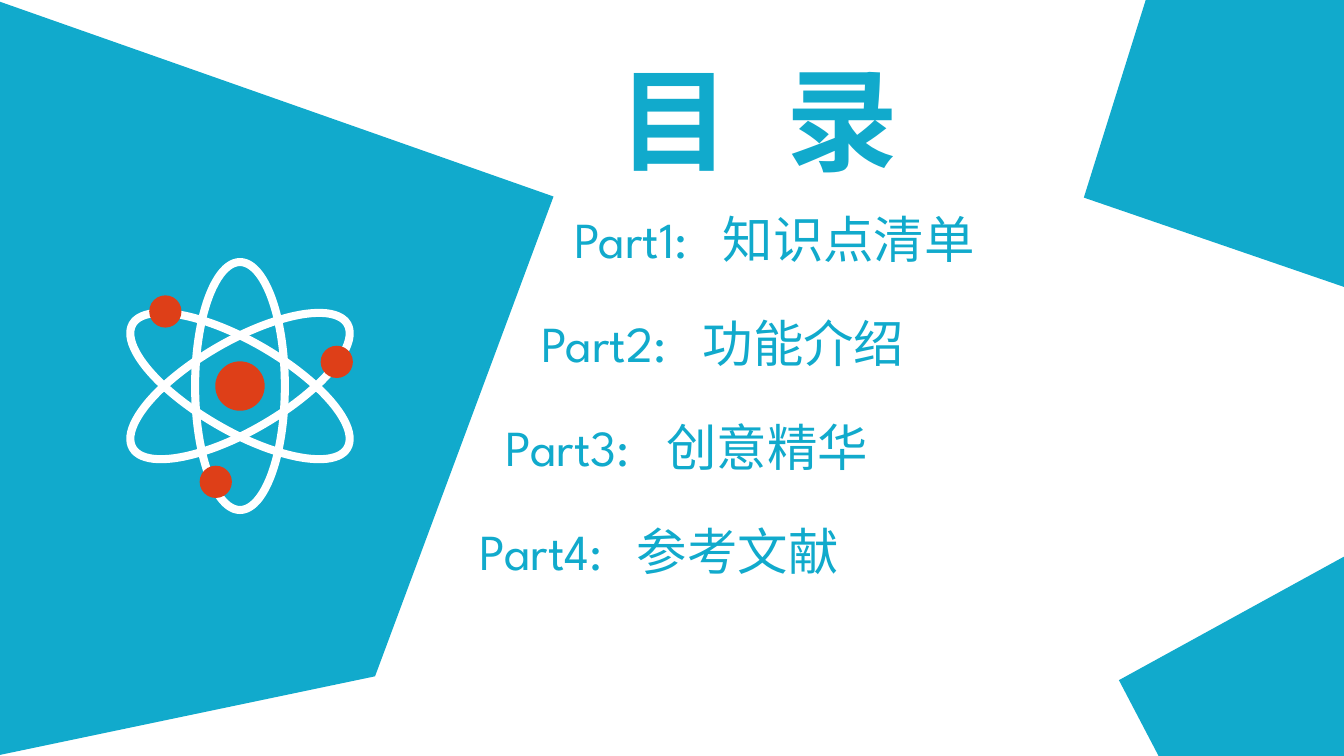
from dataclasses import dataclass

from lxml.etree import SubElement
from pptx import Presentation
from pptx.dml.color import RGBColor as Rgb
from pptx.enum.shapes import MSO_SHAPE as Kind
from pptx.enum.text import PP_ALIGN as Align
from pptx.oxml.ns import qn
from pptx.util import Inches, Pt

HUES = {"teal": "11AACC", "red": "DE3F18", "white": "FFFFFF"}
LATIN, HAN, BOLD = "League Spartan", "Noto Sans CJK SC", "Noto Sans CJK JP"


@dataclass
class Panel:
    points: list[tuple[float, float]]
    turn: float = 0


@dataclass
class Entry:
    label: str
    topic: str
    left: float
    width: float
    tab: float


@dataclass
class Dot:
    x: float
    y: float
    size: float


PANELS = [
    Panel([(13.72, 2.98), (10.75, 1.96), (11.68, -1.01), (13.72, -0.99)]),
    Panel([(-0.05, 0), (5.49, 1.95), (3.72, 6.71), (-0.05, 7.5)]),
    Panel([(14.06, 8.86), (11.34, 7.93), (12.21, 5.21), (14.06, 5.23)], 43.5),
]
ENTRIES = [
    Entry("Part1:", "知识点清单", 5.6, 4.4, 1.47),
    Entry("Part2:", "功能介绍", 5.27, 3.89, 1.6),
    Entry("Part3:", "创意精华", 4.92, 3.89, 1.59),
    Entry("Part4:", "参考文献", 4.66, 3.86, 1.56),
]
CORE = (2.38, 3.83)
ORBIT = (0.89, 2.46)
DOTS = [
    Dot(*CORE, 0.49),
    Dot(1.64, 3.09, 0.32),
    Dot(3.34, 3.59, 0.32),
    Dot(2.14, 4.78, 0.32),
]


def color(name: str) -> Rgb:
    return Rgb.from_string(HUES[name])


def add_panel(shapes, panel: Panel) -> None:
    start, *rest = [(Inches(x), Inches(y)) for x, y in panel.points]
    form = shapes.build_freeform(*start)
    form.add_line_segments(rest)
    shape = form.convert_to_shape()
    shape.shadow.inherit = False
    shape.rotation = panel.turn
    shape.fill.solid()
    shape.fill.fore_color.rgb = color("teal")
    shape.line.fill.background()


def add_oval(shapes, x: float, y: float, width: float, height: float):
    """Add a bare ellipse centred on x, y."""
    oval = shapes.add_shape(Kind.OVAL, Inches(x - width / 2), Inches(y - height / 2),
                            Inches(width), Inches(height))
    oval.shadow.inherit = False
    return oval


def add_ring(shapes, turn: float) -> None:
    ring = add_oval(shapes, *CORE, *ORBIT)
    ring.rotation = turn
    ring.fill.background()
    ring.line.color.rgb = color("white")
    ring.line.width = Inches(0.08)


def add_dot(shapes, dot: Dot) -> None:
    oval = add_oval(shapes, dot.x, dot.y, dot.size, dot.size)
    oval.fill.solid()
    oval.fill.fore_color.rgb = color("red")
    oval.line.fill.background()


def add_box(shapes, left: float, top: float, width: float, height: float):
    """Add a text box and return its first paragraph."""
    box = shapes.add_textbox(Inches(left), Inches(top), Inches(width), Inches(height))
    box.text_frame.word_wrap = True
    return box.text_frame.paragraphs[0]


def add_run(para, text: str, face: str):
    """Add text in one typeface and return its run properties."""
    run = para.add_run()
    run.text = text
    run.font.name = face
    props = run._r.get_or_add_rPr()
    SubElement(props, qn("a:ea")).set("typeface", face)
    return props


def add_title(shapes) -> None:
    para = add_box(shapes, 6.01, 0.45, 3.03, 1.45)
    para.alignment = Align.CENTER
    para.font.size, para.font.bold = Pt(80), True
    para.font.color.rgb = color("teal")
    add_run(para, "目 ", BOLD).set("spc", "1100")
    add_run(para, "录", BOLD)


def add_entry(shapes, entry: Entry, top: float) -> None:
    para = add_box(shapes, entry.left, top, entry.width, 0.71)
    tabs = SubElement(para._p.get_or_add_pPr(), qn("a:tabLst"))
    SubElement(tabs, qn("a:tab"), pos=str(Inches(entry.tab)), algn="l")
    para.font.size = Pt(36)
    para.font.color.rgb = color("teal")
    add_run(para, entry.label + "\t", LATIN)
    add_run(para, entry.topic, HAN)


def main() -> None:
    deck = Presentation()
    deck.slide_width, deck.slide_height = Inches(13.33), Inches(7.5)
    shapes = deck.slides.add_slide(deck.slide_layouts[6]).shapes
    for panel in PANELS:
        add_panel(shapes, panel)
    add_title(shapes)
    for row, entry in enumerate(ENTRIES):
        add_entry(shapes, entry, 2.02 + 1.03 * row)
    atom = shapes.add_group_shape().shapes
    for turn in (0, 60, 120):
        add_ring(atom, turn)
    for dot in DOTS:
        add_dot(atom, dot)
    deck.save("out.pptx")


if __name__ == "__main__":
    main()
